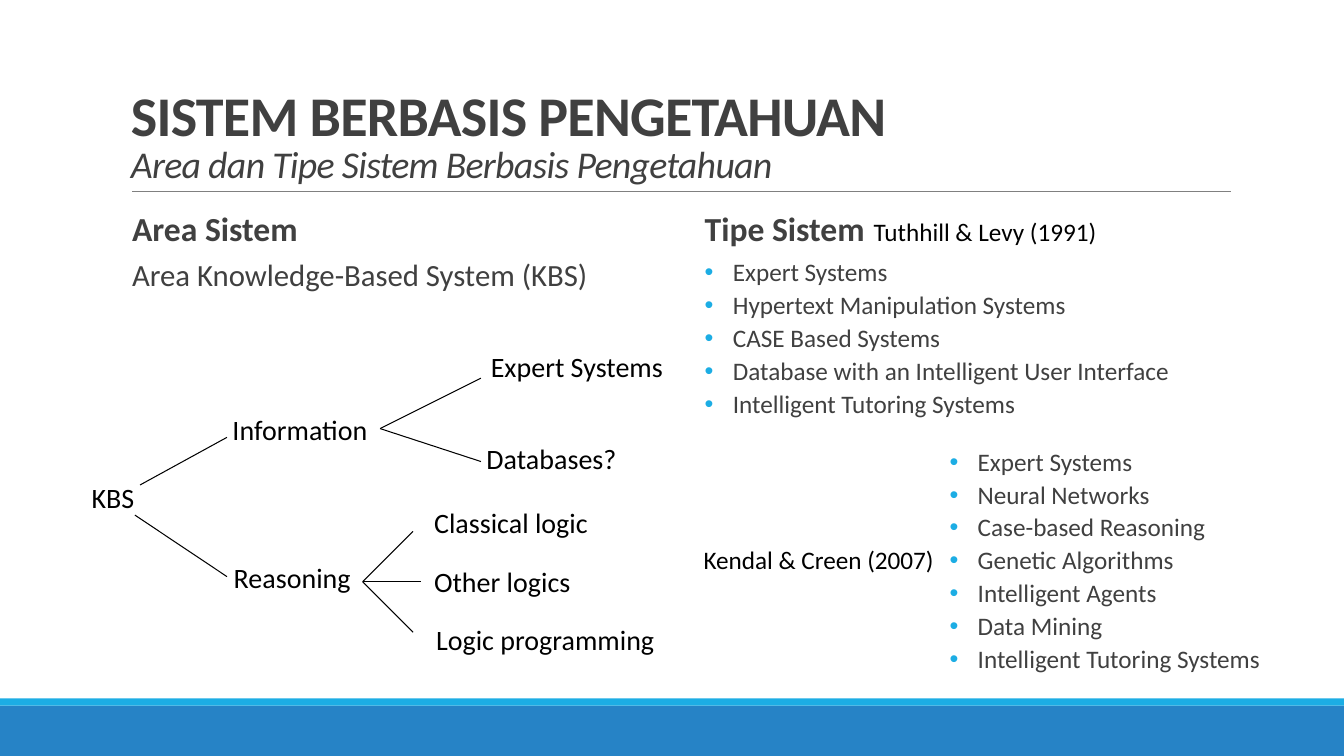
"""Build the slide on areas and types of knowledge-based systems."""
from lxml import etree
from pptx import Presentation
from pptx.dml.color import RGBColor
from pptx.enum.shapes import MSO_CONNECTOR, MSO_SHAPE
from pptx.enum.text import MSO_ANCHOR
from pptx.oxml.ns import qn
from pptx.util import Cm, Pt

STRAIGHT = MSO_CONNECTOR.STRAIGHT
RECTANGLE = MSO_SHAPE.RECTANGLE
TOP, BOTTOM = MSO_ANCHOR.TOP, MSO_ANCHOR.BOTTOM

WIDTH, HEIGHT = 33.87, 19.05
LABEL_HEIGHT = 1.12
CITATION_HEIGHT = 1.02


def color(value):
    """Turn a hex string into a colour."""
    return RGBColor.from_string(value)


class Slide:
    """Hold the style and the current page."""

    font = "Calibri"
    bullet_font = "Arial"
    ink = "000000"
    gray = "404040"
    accent = "1CADE4"

    def __init__(self, deck):
        """Add a blank page to the deck."""
        self.page = deck.slides.add_slide(deck.slide_layouts[6])

    def bar(self, top, height, fill):
        """Draw a band across the page."""
        shape = self.page.shapes.add_shape(RECTANGLE, 0, Cm(top), Cm(WIDTH), Cm(height))
        shape.shadow.inherit = False
        shape.fill.solid()
        shape.fill.fore_color.rgb = color(fill)
        shape.line.fill.background()

    def line(self, start, end, stroke=ink, weight=0.75):
        """Draw a straight line between two points."""
        points = [Cm(value) for value in (*start, *end)]
        connector = self.page.shapes.add_connector(STRAIGHT, *points)
        connector.line.color.rgb = color(stroke)
        connector.line.width = Pt(weight)
        etree.SubElement(connector._element.spPr, qn("a:effectLst"))

    def frame(self, left, top, width, height, side=0.25, anchor=TOP):
        """Add an empty text box and return its text frame."""
        box = self.page.shapes.add_textbox(Cm(left), Cm(top), Cm(width), Cm(height))
        frame = box.text_frame
        frame.word_wrap = True
        frame.vertical_anchor = anchor
        frame.margin_left = frame.margin_right = Cm(side)
        return frame

    def span(self, para, text, size, fill=gray, bold=False, italic=False):
        """Add one run to a paragraph."""
        span = para.add_run()
        span.text = text
        font = span.font
        font.name, font.size = self.font, Pt(size)
        font.bold, font.italic = bold, italic
        font.color.rgb = color(fill)
        return span

    def title(self, heading, subtitle):
        """Write the two-line title."""
        para = self.frame(3.05, 0.79, 27.94, 4.04, anchor=BOTTOM).paragraphs[0]
        para.line_spacing = 0.85
        first = self.span(para, heading, 40, bold=True)
        para.add_line_break()
        second = self.span(para, subtitle, 27, italic=True)
        for span in (first, second):
            span.font._element.set("spc", "-50")

    def label(self, text, left, top, width, height=LABEL_HEIGHT, size=20):
        """Write a single-line label."""
        frame = self.frame(left, top, width, height)
        self.span(frame.paragraphs[0], text, size, self.ink)

    def content(self, area, heading="", intro="", items=()):
        """Write a heading, a plain line and a bulleted list, each if given."""
        frame = self.frame(*area, side=0)
        rows = [(heading, 24, False), (intro, 22, False)]
        rows += [(item, 18, True) for item in items]
        for index, (text, size, bulleted) in enumerate(row for row in rows if row[0]):
            para = frame.add_paragraph() if index else frame.paragraphs[0]
            is_heading = text == heading
            if bulleted:
                self.bullet(para)
            else:
                para._p.get_or_add_pPr().set("marL", str(Cm(0.28)))
            para.line_spacing = 0.9
            para.space_before = Pt(2 if index else 0)
            para.space_after = Pt(6 if is_heading else 2)
            self.span(para, text, size, bold=is_heading)

    def bullet(self, para):
        """Give a paragraph a coloured bullet and a hanging indent."""
        properties = para._p.get_or_add_pPr()
        properties.set("marL", str(Cm(0.99)))
        properties.set("indent", str(Cm(-0.71)))
        tint = etree.SubElement(properties, qn("a:buClr"))
        etree.SubElement(tint, qn("a:srgbClr"), val=self.accent)
        etree.SubElement(properties, qn("a:buFont"), typeface=self.bullet_font)
        etree.SubElement(properties, qn("a:buChar"), char="•")


LABELS = [
    ("KBS", 2.06, 11.99, 3.18),
    ("Information", 5.61, 10.26, 4),
    ("Databases?", 12.01, 11, 3.9),
    ("Reasoning", 5.64, 14, 3.6),
    ("Classical logic", 10.69, 12.62, 4.5),
    ("Other logics", 10.69, 14.1, 4.1),
    ("Logic programming", 10.74, 15.57, 6.2),
    ("Expert Systems", 12.12, 8.69, 5),
]
BRANCHES = [
    ((3.53, 12.22), [(5.72, 11.02)]),
    ((3.4, 12.98), [(5.72, 14.53)]),
    ((9.58, 10.8), [(12.12, 9.53), (12.12, 11.63)]),
    ((9.14, 14.66), [(10.41, 13.39), (10.62, 14.66), (10.41, 15.93)]),
]
TUTHHILL_TYPES = [
    "Expert Systems",
    "Hypertext Manipulation Systems",
    "CASE Based Systems",
    "Database with an Intelligent User Interface",
    "Intelligent Tutoring Systems",
]
KENDAL_TYPES = [
    "Expert Systems",
    "Neural Networks",
    "Case-based Reasoning",
    "Genetic Algorithms",
    "Intelligent Agents",
    "Data Mining",
    "Intelligent Tutoring Systems",
]


def main():
    """Build and save the deck."""
    deck = Presentation()
    deck.slide_width, deck.slide_height = Cm(WIDTH), Cm(HEIGHT)
    slide = Slide(deck)
    slide.bar(17.78, 1.27, "2683C6")
    slide.bar(17.6, 0.18, slide.accent)
    slide.line((3.33, 4.83), (31.01, 4.83), "808080", 0.5)
    slide.title("SISTEM BERBASIS PENGETAHUAN", "Area dan Tipe Sistem Berbasis Pengetahuan")

    slide.content((3.05, 5.23, 16.64, 12.04), "Area Sistem", "Area Knowledge-Based System (KBS)")
    for start, ends in BRANCHES:
        for end in ends:
            slide.line(start, end)
    for label in LABELS:
        slide.label(*label)

    slide.content((17.48, 5.23, 13.36, 6.15), "Tipe Sistem", items=TUTHHILL_TYPES)
    slide.content((23.65, 11.2, 8.18, 5.66), items=KENDAL_TYPES)
    slide.label("Kendal & Creen (2007)", 17.48, 13.59, 6.6, CITATION_HEIGHT, 18)
    slide.label("Tuthhill & Levy (1991)", 21.77, 5.33, 6.6, CITATION_HEIGHT, 18)
    deck.save("out.pptx")


if __name__ == "__main__":
    main()
